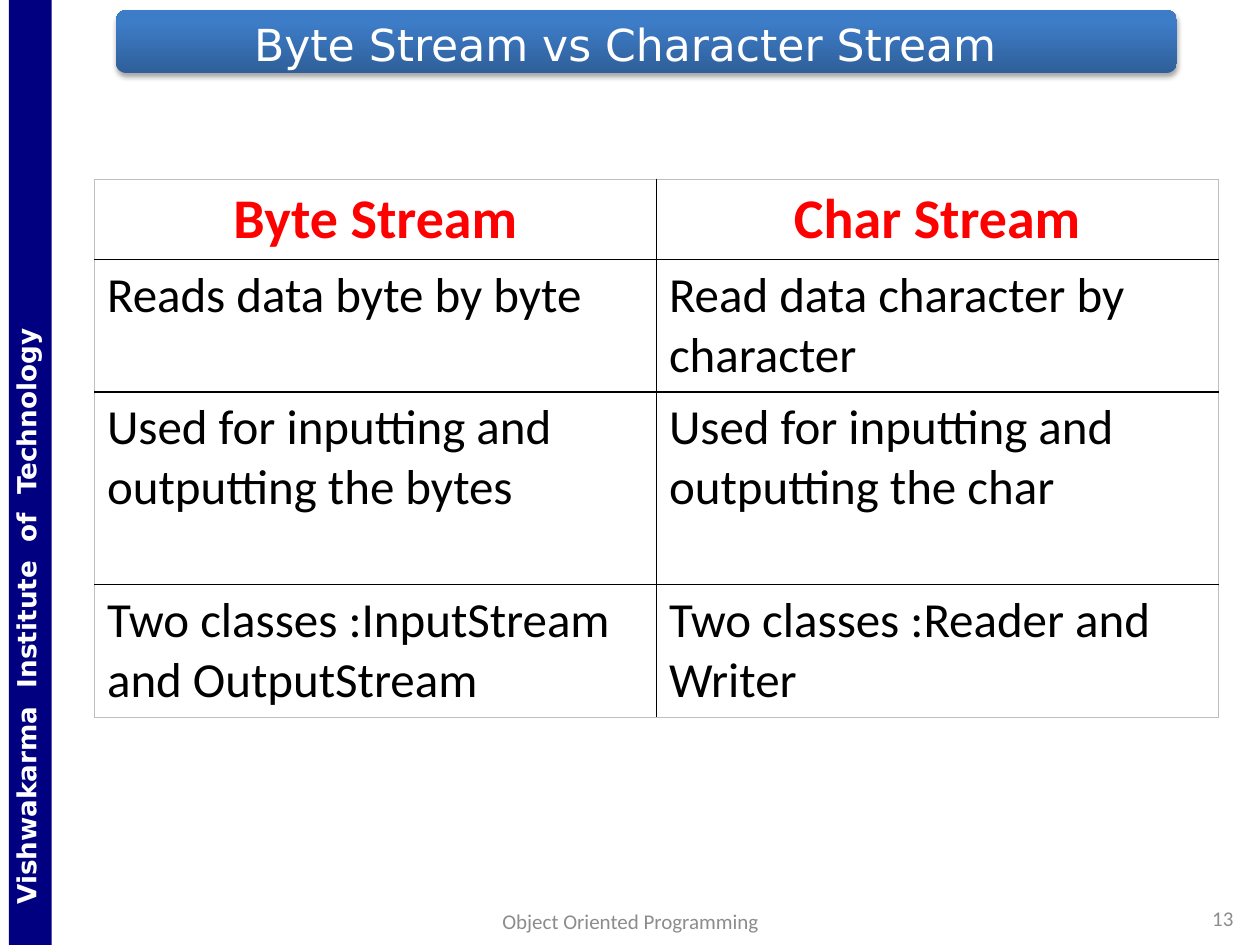
from dataclasses import dataclass

from lxml.etree import SubElement
from pptx import Presentation
from pptx.dml.color import RGBColor
from pptx.enum.shapes import MSO_SHAPE
from pptx.enum.text import MSO_ANCHOR, PP_ALIGN
from pptx.oxml import parse_xml
from pptx.oxml.ns import nsdecls, qn
from pptx.util import Inches, Pt


@dataclass(frozen=True)
class Theme:
    white: str = "FFFFFF"
    black: str = "000000"
    red: str = "FF0000"
    navy: str = "000080"
    deep: str = "2F5F99"
    blue: str = "3D7CC7"
    gray: str = "8C8C8C"
    edge: str = "BFBFBF"
    body: str = "Calibri"
    sans: str = "DejaVu Sans"
    title: float = 25.2
    head: float = 32
    cell: float = 28
    side: float = 15
    small: float = 12


T = Theme()
ROWS = [
    ("Byte Stream", "Char Stream"),
    ("Reads data byte by byte", "Read data character by character"),
    ("Used for inputting and outputting the bytes",
     "Used for inputting and outputting the char"),
    ("Two classes :InputStream and OutputStream",
     "Two classes :Reader and Writer"),
]
HEIGHTS = (0.64, 1.05, 1.53, 1.05)


def rgb(code):
    return RGBColor.from_string(code)


def inch(box):
    return [Inches(v) for v in box]


def write(frame, text, size, color, font=T.body, bold=False,
          align=PP_ALIGN.LEFT):
    """Put one formatted paragraph in a text frame."""
    frame.word_wrap = True
    para = frame.paragraphs[0]
    para.alignment = align
    run = para.add_run()
    run.text = text
    run.font.size = Pt(size)
    run.font.name = font
    run.font.bold = bold
    run.font.color.rgb = rgb(color)


def label(slide, box, text, size, color, **style):
    frame = slide.shapes.add_textbox(*inch(box)).text_frame
    frame.vertical_anchor = MSO_ANCHOR.MIDDLE
    write(frame, text, size, color, **style)
    return frame


def banner(slide, box):
    """Rounded gradient bar with the slide title."""
    left, top, width, height = box
    bar = slide.shapes.add_shape(MSO_SHAPE.ROUNDED_RECTANGLE, *inch(box))
    bar.line.fill.background()
    bar.fill.gradient()
    bar.fill.gradient_angle = 90
    for stop, place, color in zip(bar.fill.gradient_stops, (0, 0.8),
                                  (T.deep, T.blue)):
        stop.position = place
        stop.color.rgb = rgb(color)
    # Soft shadow below the bar
    bar.shadow.inherit = False
    effects = bar.element.spPr.find(qn("a:effectLst"))
    effects.append(parse_xml(
        f'<a:outerShdw {nsdecls("a")} blurRad="{Pt(3.1)}" dist="{Pt(1.8)}" '
        'dir="5400000" rotWithShape="0"><a:srgbClr val="000000">'
        '<a:alpha val="35000"/></a:srgbClr></a:outerShdw>'))
    label(slide, (left + 0.88, top - 0.08, 6.33, 0.7),
          "Byte Stream vs Character Stream", T.title, T.white,
          font=T.sans, align=PP_ALIGN.CENTER)


def sidebar(slide, box):
    """Vertical band: a wide bar turned about its centre."""
    left, top, width, height = box
    turned = (left + (width - height) / 2, top + (height - width) / 2,
              height, width)
    bar = slide.shapes.add_shape(MSO_SHAPE.RECTANGLE, *inch(turned))
    bar.rotation = 270
    bar.shadow.inherit = False
    bar.fill.solid()
    bar.fill.fore_color.rgb = rgb(T.navy)
    bar.line.fill.background()
    frame = bar.text_frame
    frame.vertical_anchor = MSO_ANCHOR.TOP
    frame.margin_left = Inches(0.32)
    frame.margin_top = Inches(0.01)
    frame.margin_bottom = Inches(0.07)
    write(frame, "Vishwakarma  Institute  of  Technology", T.side, T.white,
          font=T.sans, bold=True)


def border(cell, side, color, width):
    line = SubElement(cell._tc.get_or_add_tcPr(), qn(f"a:{side}"),
                      w=str(Pt(width)))
    fill = SubElement(line, qn("a:solidFill"))
    SubElement(fill, qn("a:srgbClr"), val=color)


def compare(slide, box):
    """Two-column comparison table."""
    table = slide.shapes.add_table(len(ROWS), 2, *inch(box)).table
    for col in table.columns:
        col.width = Inches(box[2] / 2)
    last = len(ROWS) - 1
    for r, texts in enumerate(ROWS):
        table.rows[r].height = Inches(HEIGHTS[r])
        for c, text in enumerate(texts):
            cell = table.cell(r, c)
            outer = {"lnL": c == 0, "lnR": c == 1,
                     "lnT": r == 0, "lnB": r == last}
            for side, rim in outer.items():
                border(cell, side, T.edge if rim else T.black,
                       0.5 if rim else 1)
            cell.fill.background()
            if r == 0:
                write(cell.text_frame, text, T.head, T.red, bold=True,
                      align=PP_ALIGN.CENTER)
            else:
                write(cell.text_frame, text, T.cell, T.black)


def footer(slide, box):
    """Course name and slide number."""
    left, top, width, height = box
    label(slide, (left, top + 0.02, 3.17, height),
          "Object Oriented Programming", T.small, T.gray,
          align=PP_ALIGN.CENTER)
    number = label(slide, (left + width - 2.33, top, 2.33, height), "13",
                   T.small, T.gray, align=PP_ALIGN.RIGHT)
    number.margin_right = Inches(0.14)


def main():
    deck = Presentation()
    deck.slide_width, deck.slide_height = Inches(10), Inches(7.5)
    slide = deck.slides.add_slide(deck.slide_layouts[6])
    banner(slide, (0.92, 0.08, 8.42, 0.5))
    sidebar(slide, (0.07, 0, 0.34, 7.5))
    footer(slide, (3.42, 7.15, 6.51, 0.28))
    compare(slide, (0.75, 1.42, 8.92, sum(HEIGHTS)))
    deck.save("out.pptx")


if __name__ == "__main__":
    main()
